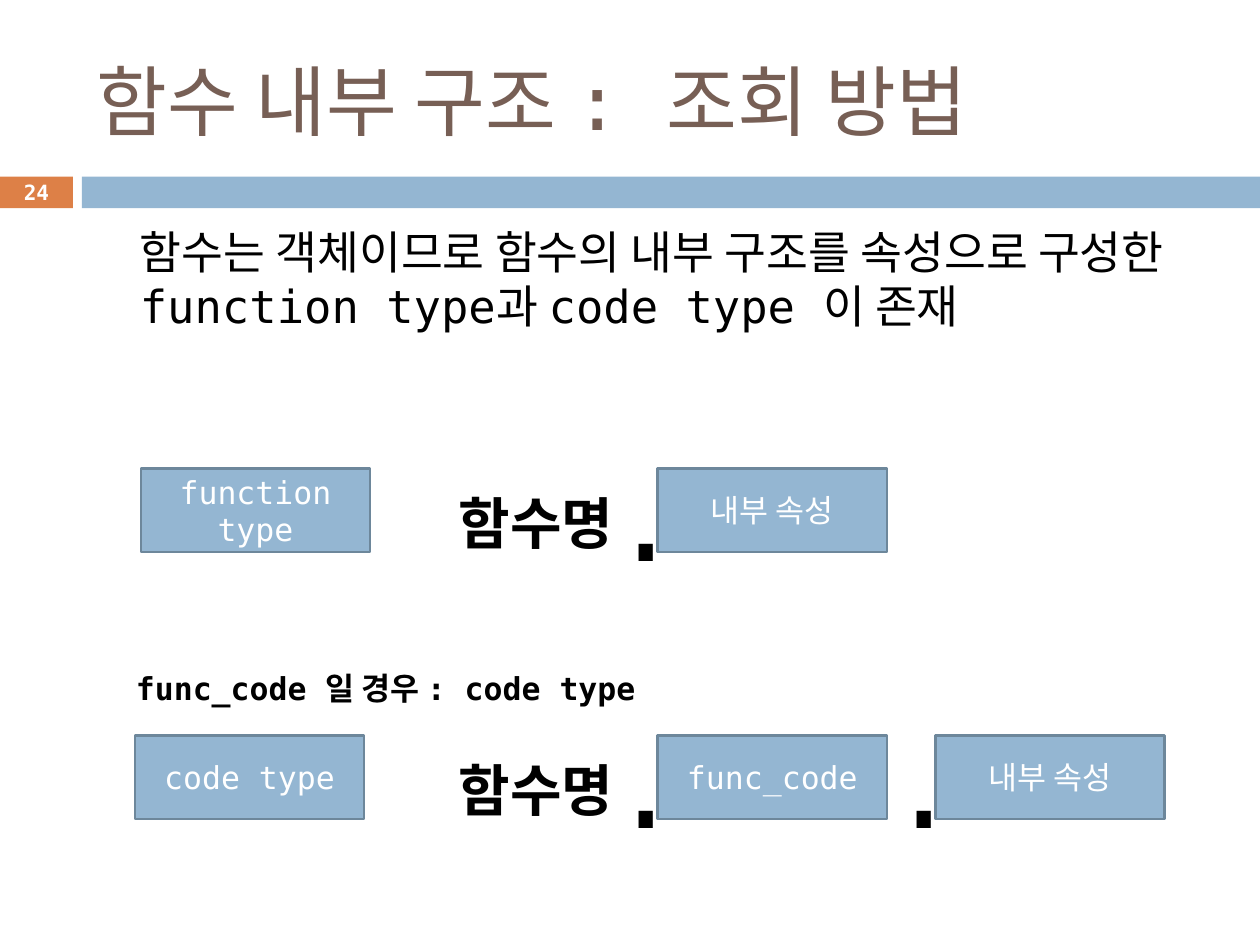
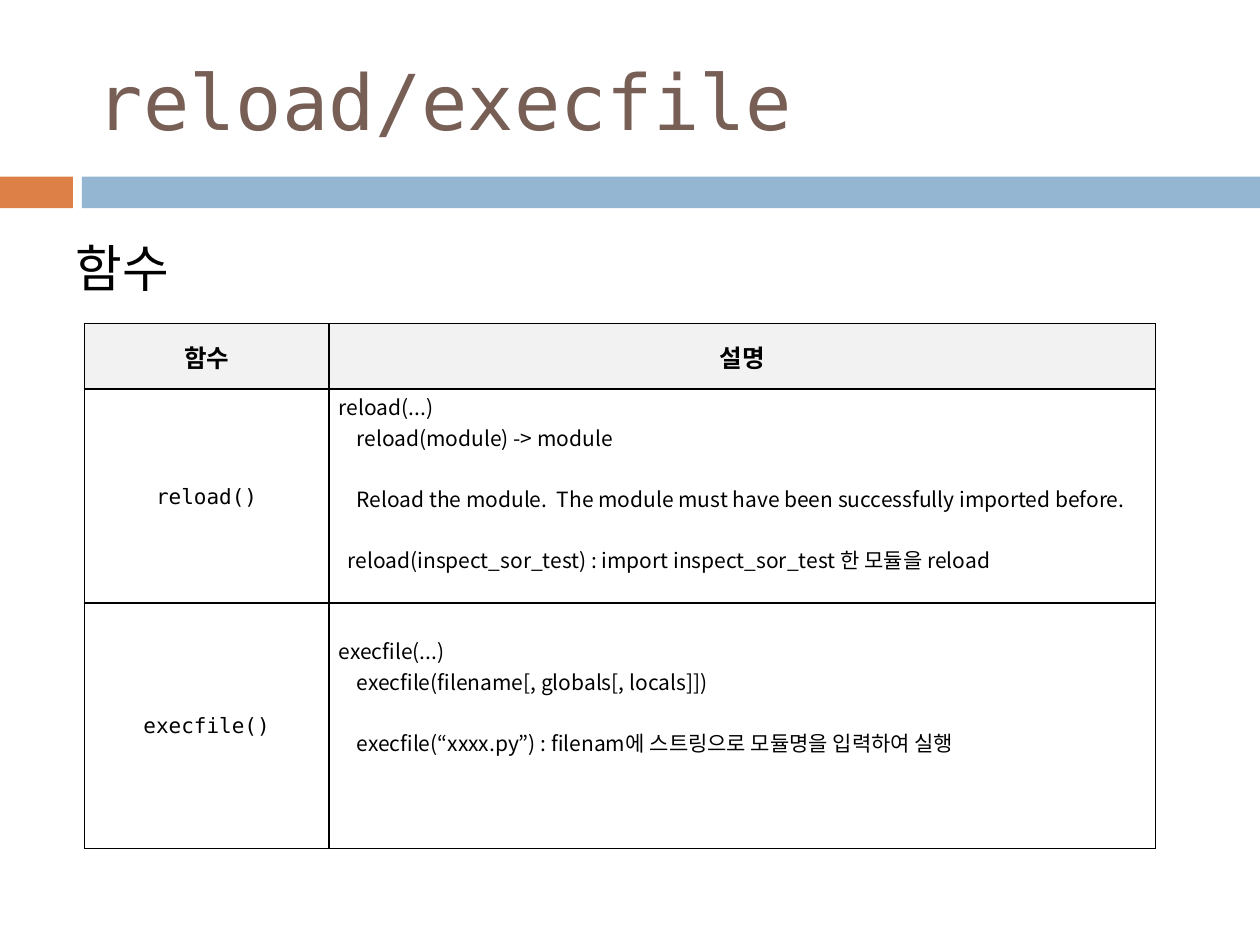
from lxml import etree
from pptx import Presentation
from pptx import util as u
from pptx.dml.color import RGBColor
from pptx.enum import shapes, text
from pptx.oxml import ns

COLORS = {
    "orange": "DD8047",
    "blue": "94B6D2",
    "blue_edge": "6D879B",
    "title": "775F55",
    "black": "000000",
    "white": "FFFFFF",
    "header": "F2F2F2",
}
MONO, SANS = "DejaVu Sans Mono", "Noto Sans CJK KR"
CENTER = text.PP_ALIGN.CENTER
MIDDLE = text.MSO_ANCHOR.MIDDLE

TITLE_BOX = (1.7, 0.64, 22.66, 2.74)
BAND_TOP, BAND_HEIGHT = 3.56, 0.64
NUMBER_WIDTH, BAND_LEFT = 1.47, 1.65
SLIDE_WIDTH, SLIDE_HEIGHT = 25.4, 19.05
LABEL_WIDTH, LABEL_HEIGHT = 4.62, 1.68
LINE_GAP = 17.5

FUNCTIONS = [
    # name, top margin in cm, lines as (text, indent in cm, space before in points)
    ("reload()", 0.05, [
        ("reload(...)", 0, 0),
        ("reload(module) -> module", 0.36, 0),
        ("Reload the module.  The module must have been successfully "
         "imported before.", 0.36, LINE_GAP),
        ("reload(inspect_sor_test) : import inspect_sor_test 한 모듈을 reload",
         0.18, LINE_GAP),
    ]),
    ("execfile()", 0.65, [
        ("execfile(...)", 0, 0),
        ("execfile(filename[, globals[, locals]])", 0.36, 0),
        ("execfile(“xxxx.py”) : filenam에 스트링으로 모듈명을 입력하여 실행",
         0.36, LINE_GAP),
    ]),
]


def rgb(color):
    return RGBColor.from_string(COLORS[color])


def cm_box(box):
    return [u.Cm(length) for length in box]


def style(paragraph, size, color="black", bold=False, name=MONO, align=None):
    """Set the paragraph's font, with the Korean font for East Asian letters."""
    font = paragraph.font
    font.size, font.bold, font.name = u.Pt(size), bold, name
    font.color.rgb = rgb(color)
    if align is not None:
        paragraph.alignment = align
    latin = paragraph._p.pPr.find(".//" + ns.qn("a:latin"))
    east_asian = etree.Element(ns.qn("a:ea"), typeface=SANS)
    latin.addnext(east_asian)


def add_text(slide, box, words, size, grow=False, **font):
    frame = slide.shapes.add_textbox(*cm_box(box)).text_frame
    frame.word_wrap = True
    if grow:
        frame.auto_size = text.MSO_AUTO_SIZE.SHAPE_TO_FIT_TEXT
    paragraph = frame.paragraphs[0]
    paragraph.text = words
    style(paragraph, size, **font)


def add_panel(slide, box, fill, words="", size=18, bold=False, edge=None):
    panel = slide.shapes.add_shape(shapes.MSO_SHAPE.RECTANGLE, *cm_box(box))
    panel.shadow.inherit = False
    panel.fill.solid()
    panel.fill.fore_color.rgb = rgb(fill)
    if edge:
        panel.line.color.rgb = rgb(edge)
        panel.line.width = u.Pt(1.5)
    else:
        panel.line.fill.background()
    if words:
        frame = panel.text_frame
        frame.word_wrap = True
        frame.vertical_anchor = MIDDLE
        if not edge:
            frame.margin_top = frame.margin_bottom = 0
        frame.paragraphs[0].text = words
        style(frame.paragraphs[0], size, "white", bold, align=CENTER)


def add_titled_slide(deck, heading, number=""):
    slide = deck.slides.add_slide(deck.slide_layouts[5])
    add_panel(slide, (0, BAND_TOP, NUMBER_WIDTH, BAND_HEIGHT), "orange",
              number, 12, True)
    add_panel(slide, (BAND_LEFT, BAND_TOP, SLIDE_WIDTH - BAND_LEFT, BAND_HEIGHT),
              "blue")
    title = slide.shapes.title
    title.left, title.top, title.width, title.height = cm_box(TITLE_BOX)
    frame = title.text_frame
    frame.text = heading
    frame.word_wrap = True
    frame.auto_size = text.MSO_AUTO_SIZE.NONE
    frame.vertical_anchor = MIDDLE
    style(frame.paragraphs[0], 44, "title", align=text.PP_ALIGN.LEFT)
    return slide


def add_label(slide, left, top, words):
    add_panel(slide, (left, top, LABEL_WIDTH, LABEL_HEIGHT), "blue", words,
              edge="blue_edge")


def add_access_row(slide, left, top, type_name, attributes):
    """Draw a type label, then the function name followed by dotted attributes."""
    add_label(slide, left, top, type_name)
    add_text(slide, (8.71, top + 0.28, 4.19, 1.63), "함수명", 32, grow=True,
             bold=True, align=CENTER)
    for index, attribute in enumerate(attributes):
        attribute_left = 13.26 + index * 5.6
        add_label(slide, attribute_left, top, attribute)
        add_text(slide, (attribute_left - 1.18, top - 0.58, 0.66, 2.13), ".", 66,
                 grow=True)


def build_structure_slide(deck):
    slide = add_titled_slide(deck, "함수 내부 구조 : 조회 방법", "24")
    add_text(slide, (2.57, 4.39, 21.59, 3.73),
             "함수는 객체이므로 함수의 내부 구조를 속성으로 구성한  "
             "function type과 code type 이 존재", 26)
    add_access_row(slide, 2.84, 9.45, "function type", ["내부 속성"])
    add_text(slide, (2.49, 13.36, 11.63, 1.02), "func_code 일 경우 : code type",
             18, grow=True, bold=True)
    add_access_row(slide, 2.72, 14.83, "code type", ["func_code", "내부 속성"])


def format_cell(cell, fill="white", left_margin=0.03, top_margin=0.03,
                anchor=MIDDLE):
    cell.fill.solid()
    cell.fill.fore_color.rgb = rgb(fill)
    cell.margin_left, cell.margin_top = u.Cm(left_margin), u.Cm(top_margin)
    cell.margin_right, cell.margin_bottom = u.Cm(0.03), 0
    cell.vertical_anchor = anchor
    properties = cell._tc.get_or_add_tcPr()
    for position, side in enumerate(("lnL", "lnR", "lnT", "lnB")):
        border = etree.Element(ns.qn("a:" + side), w=str(u.Pt(1)))
        paint = etree.SubElement(border, ns.qn("a:solidFill"))
        etree.SubElement(paint, ns.qn("a:srgbClr"), val=COLORS["black"])
        properties.insert(position, border)


def fill_centered(cell, words, size, fill="white", **font):
    format_cell(cell, fill)
    paragraph = cell.text_frame.paragraphs[0]
    paragraph.text = words
    style(paragraph, size, align=CENTER, **font)


def fill_description(cell, top_margin, lines):
    format_cell(cell, left_margin=0.2, top_margin=top_margin,
                anchor=text.MSO_ANCHOR.TOP)
    frame = cell.text_frame
    for index, (words, indent, space) in enumerate(lines):
        paragraph = frame.add_paragraph() if index else frame.paragraphs[0]
        paragraph.text = words
        if indent:
            paragraph._p.get_or_add_pPr().set("marL", str(u.Cm(indent)))
        if space:
            paragraph.space_before = u.Pt(space)
        style(paragraph, 12, name=SANS)


def add_function_table(slide, left, top, widths, heights):
    table = slide.shapes.add_table(
        len(heights), len(widths),
        *cm_box((left, top, sum(widths), sum(heights)))).table
    for column, width in zip(table.columns, widths):
        column.width = u.Cm(width)
    for row, height in zip(table.rows, heights):
        row.height = u.Cm(height)
    fill_centered(table.cell(0, 0), "함수", 14, "header", bold=True)
    fill_centered(table.cell(0, 1), "설명", 14, "header", bold=True, name=SANS)
    for row, (name, top_margin, lines) in enumerate(FUNCTIONS, start=1):
        fill_centered(table.cell(row, 0), name, 12)
        fill_description(table.cell(row, 1), top_margin, lines)


def build_reload_slide(deck):
    slide = add_titled_slide(deck, "reload/execfile")
    add_text(slide, (1.27, 4.65, 22.86, 1.7), "함수", 29)
    add_function_table(slide, 1.7, 6.52, (4.93, 16.66), (1.32, 4.32, 4.94))


def main():
    deck = Presentation()
    deck.slide_width, deck.slide_height = u.Cm(SLIDE_WIDTH), u.Cm(SLIDE_HEIGHT)
    build_structure_slide(deck)
    build_reload_slide(deck)
    deck.save("out.pptx")


if __name__ == "__main__":
    main()
